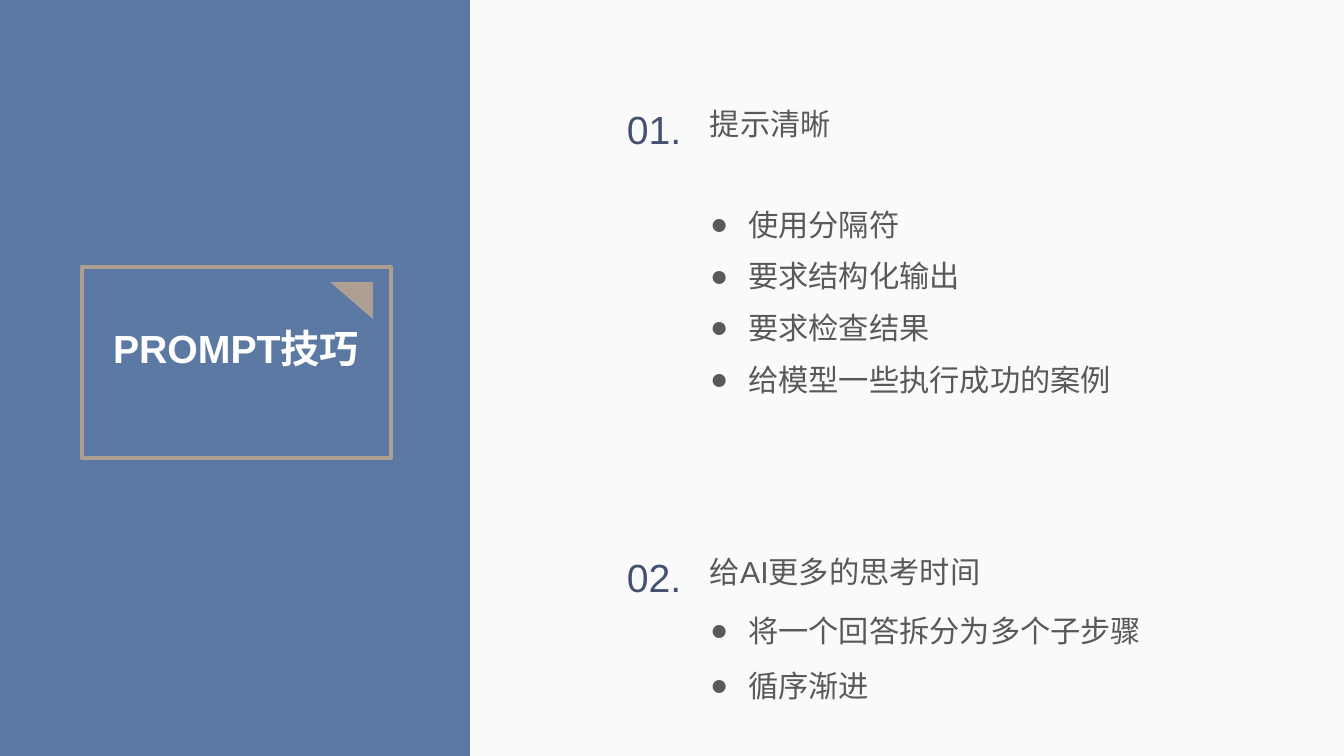
from dataclasses import dataclass

from lxml.etree import SubElement
from pptx import Presentation
from pptx.dml.color import RGBColor as Rgb
from pptx.enum.shapes import MSO_SHAPE as Shape
from pptx.enum.text import MSO_ANCHOR as Anchor, MSO_AUTO_SIZE as AutoSize, PP_ALIGN as Align
from pptx.oxml.ns import qn
from pptx.util import Emu, Pt

PX_PER_INCH = 100.8
TWO_CONTENT_LAYOUT = 3


def px(length):
    return Emu(round(length * 914400 / PX_PER_INCH))


@dataclass(frozen=True)
class Theme:
    font: str = "Arial"
    paper: str = "FAFAFA"
    panel: str = "5C79A3"
    accent: str = "ADA093"
    number: str = "455171"
    body: str = "595959"
    title: str = "FFFFFF"
    large: float = 28
    regular: float = 21.6
    frame_width: float = 3
    bullet_indent: int = 38


class SlideBuilder:
    def __init__(self, slide, theme):
        self.slide = slide
        self.theme = theme
        background = slide.background.fill
        background.solid()
        background.fore_color.rgb = Rgb.from_string(theme.paper)

    def shape(self, kind, box, fill=None, line=None):
        shape = self.slide.shapes.add_shape(kind, *map(px, box))
        shape.shadow.inherit = False
        if fill:
            shape.fill.solid()
            shape.fill.fore_color.rgb = Rgb.from_string(fill)
        else:
            shape.fill.background()
        if line:
            shape.line.color.rgb = Rgb.from_string(line)
            shape.line.width = Pt(self.theme.frame_width)
        else:
            shape.line.fill.background()
        return shape

    def place(self, placeholder, box):
        """Position a placeholder and bring it in front of the shapes drawn so far."""
        placeholder.left, placeholder.top, placeholder.width, placeholder.height = map(px, box)
        self.slide.shapes._spTree.append(placeholder._element)
        return placeholder.text_frame

    def prepare(self, frame):
        frame.word_wrap = True
        frame.auto_size = AutoSize.NONE
        frame.vertical_anchor = Anchor.TOP

    def run(self, paragraph, text, size, color, bold=False):
        run = paragraph.add_run()
        run.text = text
        run.font.name = self.theme.font
        run.font.size = Pt(size)
        run.font.bold = bold
        run.font.color.rgb = Rgb.from_string(color)

    def title(self, text, box):
        frame = self.place(self.slide.shapes.title, box)
        self.prepare(frame)
        frame.paragraphs[0].alignment = Align.CENTER
        self.run(frame.paragraphs[0], text, self.theme.large, self.theme.title, bold=True)

    def label(self, text, box, size, color):
        frame = self.slide.shapes.add_textbox(*map(px, box)).text_frame
        self.prepare(frame)
        self.run(frame.paragraphs[0], text, size, color)

    def bullets(self, placeholder_index, items, box, gap):
        frame = self.place(self.slide.placeholders[placeholder_index], box)
        self.prepare(frame)
        indent = px(self.theme.bullet_indent)
        for position, item in enumerate(items):
            paragraph = frame.add_paragraph() if position else frame.paragraphs[0]
            properties = paragraph._p.get_or_add_pPr()
            properties.set("marL", str(indent))
            properties.set("indent", str(-indent))
            SubElement(properties, qn("a:buFont"), typeface=self.theme.font)
            SubElement(properties, qn("a:buChar"), char="●")
            paragraph.space_before = Pt(gap if position else 0)
            self.run(paragraph, item, self.theme.regular, self.theme.body)

    def section(self, number, heading, top):
        self.label(number, (617, top, 76, 57), self.theme.large, self.theme.number)
        self.label(heading, (700, top, 326, 50), self.theme.regular, self.theme.body)


def main():
    theme = Theme()
    deck = Presentation()
    deck.slide_width, deck.slide_height = px(1344), px(756)
    layout = deck.slide_layouts[TWO_CONTENT_LAYOUT]
    builder = SlideBuilder(deck.slides.add_slide(layout), theme)

    builder.shape(Shape.RECTANGLE, (0, 0, 470, 756), fill=theme.panel)
    builder.shape(Shape.RECTANGLE, (82, 267, 309, 191), line=theme.accent)
    corner = builder.shape(Shape.ISOSCELES_TRIANGLE, (330, 282, 43, 37), fill=theme.accent)
    corner.adjustments[0] = 0
    corner.rotation = 180
    builder.title("PROMPT技巧", (100, 319, 272, 94))

    builder.section("01.", "提示清晰", 100)
    clear_prompts = ("使用分隔符", "要求结构化输出", "要求检查结果", "给模型一些执行成功的案例")
    builder.bullets(1, clear_prompts, (700, 201, 456, 202), gap=11)

    builder.section("02.", "给AI更多的思考时间", 548)
    thinking_steps = ("将一个回答拆分为多个子步骤", "循序渐进")
    builder.bullets(2, thinking_steps, (700, 607, 456, 104), gap=13.5)

    deck.save("out.pptx")


if __name__ == "__main__":
    main()
